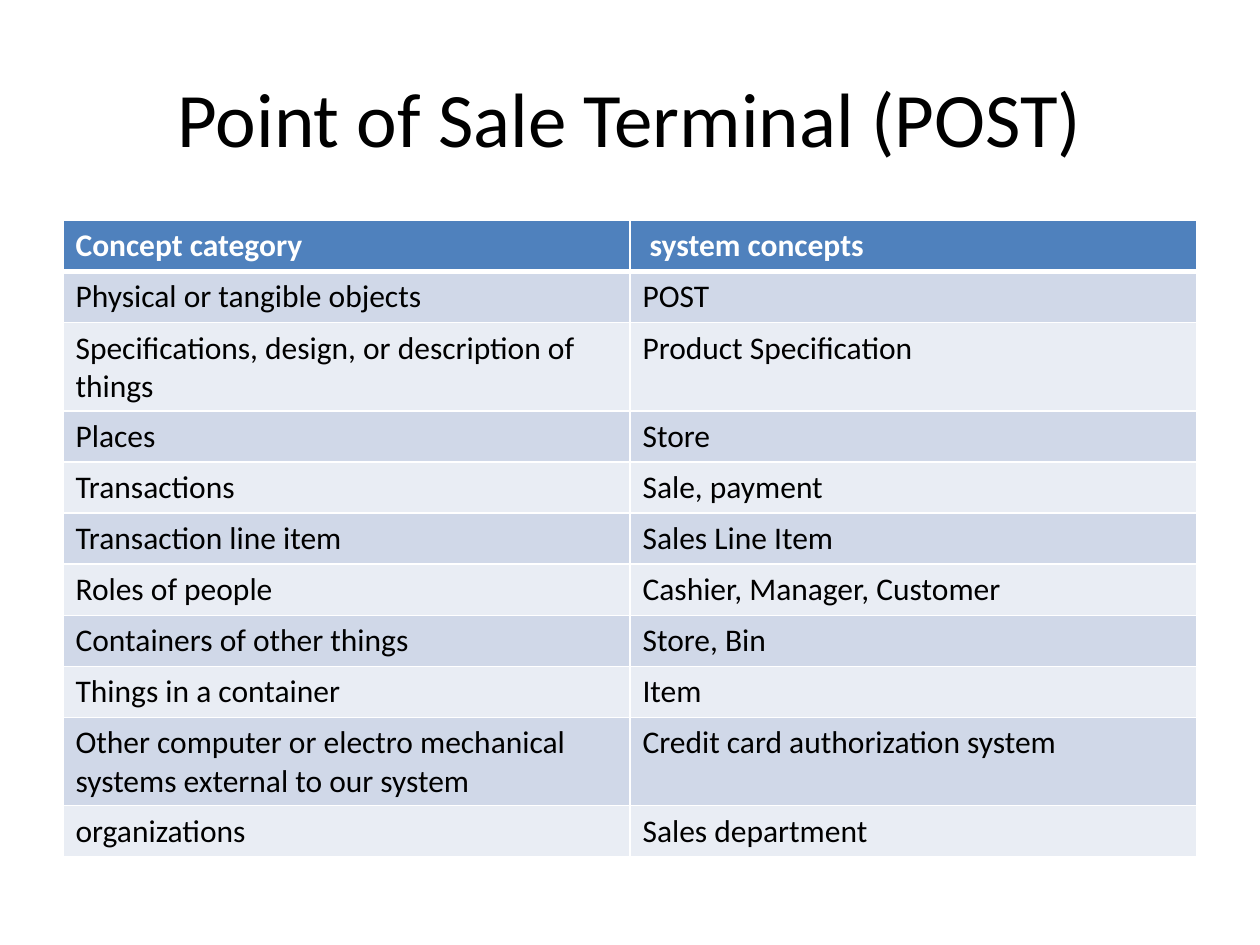
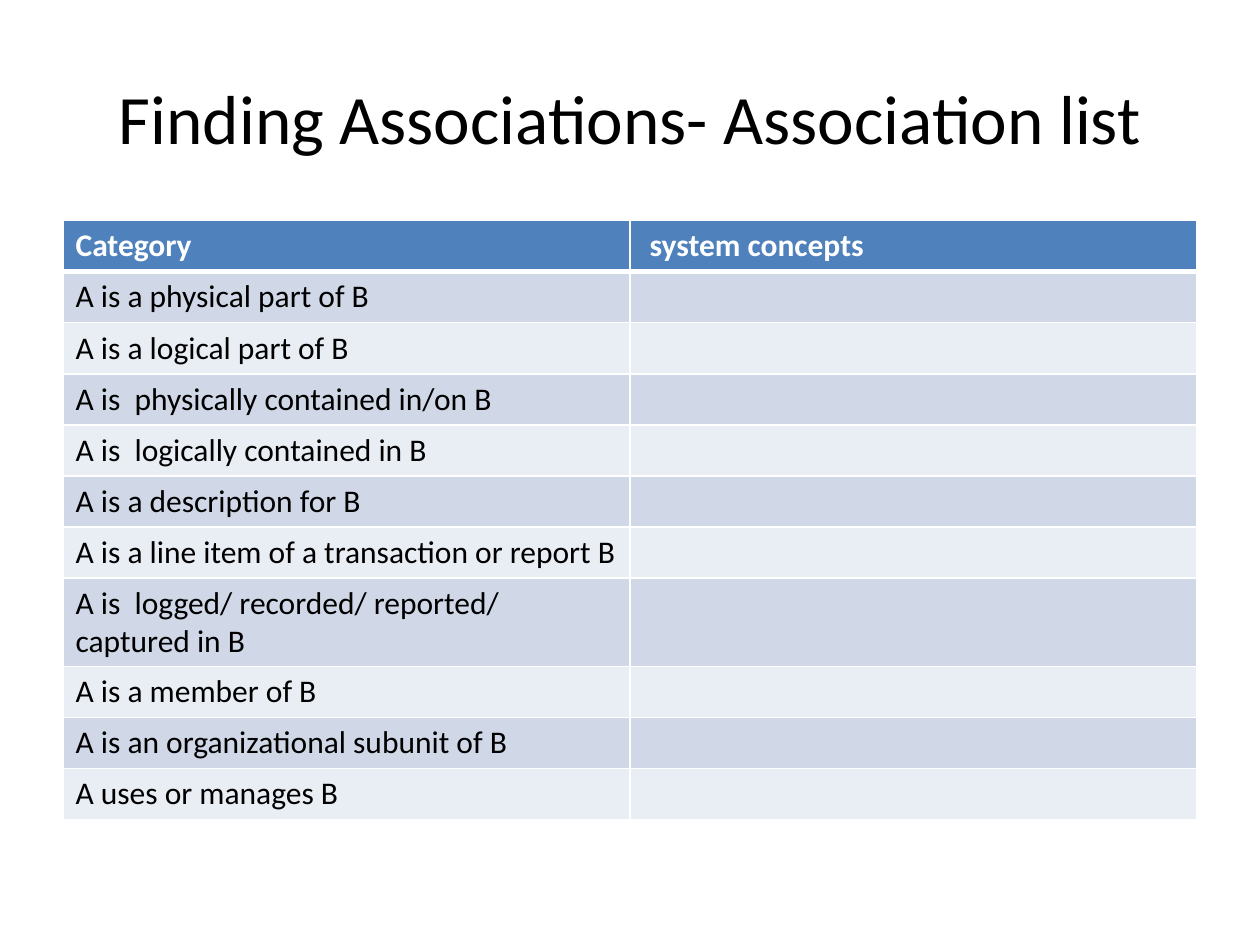
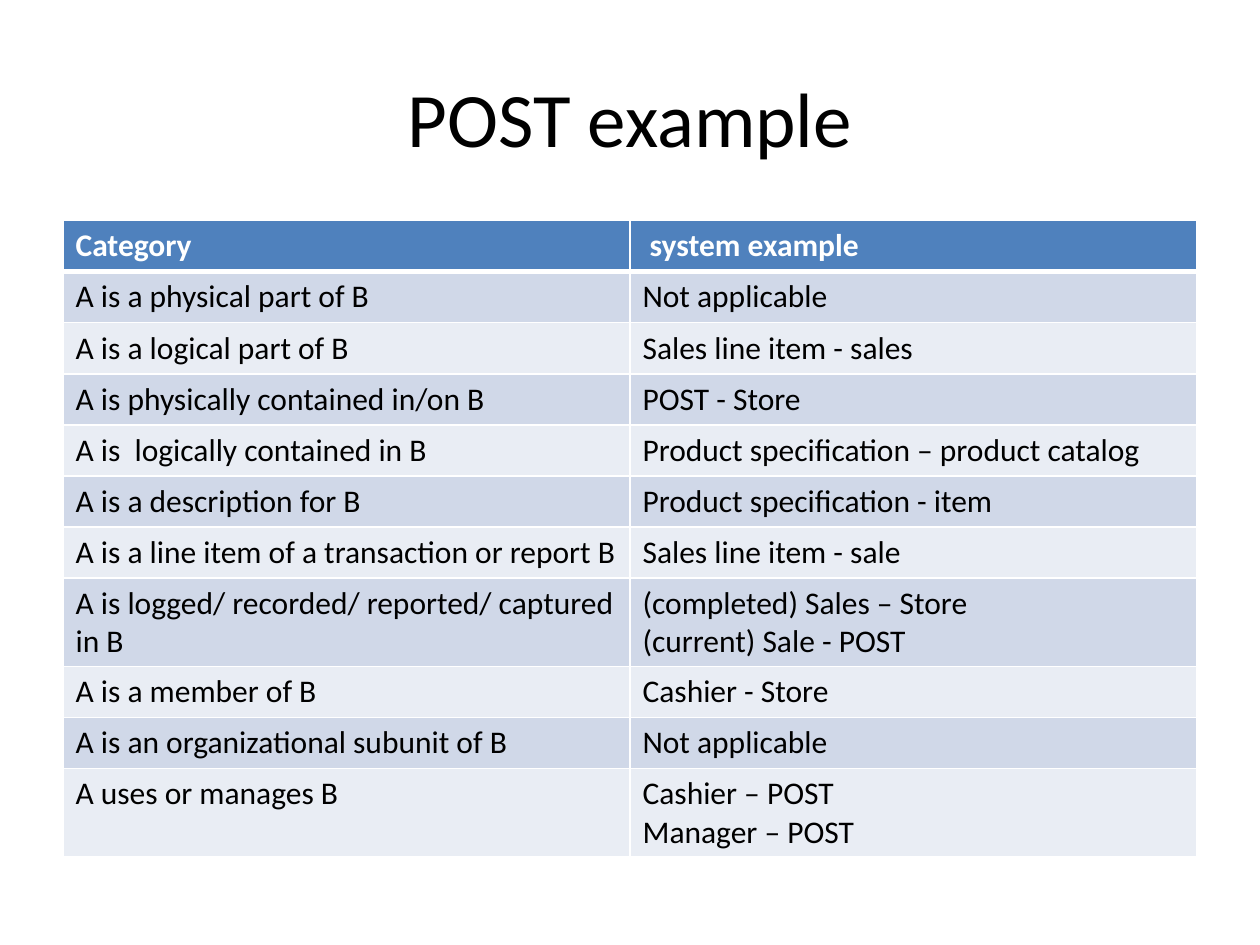
from pptx import Presentation
from pptx import util as u
from pptx.dml.color import RGBColor
from pptx.enum import text
from pptx.oxml import parse_xml
from pptx.oxml.ns import nsdecls

PX = 5080  # EMU per px, 180 px to the inch
FONT = "Calibri"
COLORS = {
    "ink": "000000",
    "white": "FFFFFF",
    "header": "4F81BD",
    "band_dark": "D0D8E8",
    "band_light": "E9EDF4",
}

SALE_CONCEPTS = [
    ("Physical or tangible objects", "POST"),
    ("Specifications, design, or description of things", "Product Specification"),
    ("Places", "Store"),
    ("Transactions", "Sale, payment"),
    ("Transaction line item", "Sales Line Item"),
    ("Roles of people", "Cashier, Manager, Customer"),
    ("Containers of other things", "Store, Bin"),
    ("Things in a container", "Item"),
    ("Other computer or electro mechanical systems external to our system",
     "Credit card authorization system"),
    ("organizations", "Sales department"),
]

ASSOCIATIONS = [
    ("A is a physical part of B", "Not applicable"),
    ("A is a logical part of B", "Sales line item - sales"),
    ("A is physically contained in/on B", "POST - Store"),
    ("A is  logically contained in B", "Product specification – product catalog"),
    ("A is a description for B", "Product specification - item"),
    ("A is a line item of a transaction or report B", "Sales line item - sale"),
    ("A is logged/ recorded/ reported/ captured in B",
     "(completed) Sales – Store\n(current) Sale - POST"),
    ("A is a member of B", "Cashier - Store"),
    ("A is an organizational subunit of B", "Not applicable"),
    ("A uses or manages B", "Cashier – POST\nManager – POST"),
]


def px(length):
    return u.Emu(length * PX)


def color(name):
    return RGBColor.from_string(COLORS[name])


class SlideWriter:
    """Holds the shared style and the current slide."""

    left, width = 90, 1620
    title_top, title_height = 54, 225
    table_top, row_height = 315, 73
    header_indent = 10

    def __init__(self):
        self.deck = Presentation()
        self.deck.slide_width, self.deck.slide_height = px(1800), px(1350)
        self.page = None

    def new_page(self):
        self.page = self.deck.slides.add_slide(self.deck.slide_layouts[6])

    def style(self, para, size, ink, bold=False):
        font = para.font
        font.name, font.size, font.bold = FONT, u.Pt(size), bold
        font.color.rgb = color(ink)

    def title(self, words, size=44):
        box = self.page.shapes.add_textbox(
            px(self.left), px(self.title_top), px(self.width), px(self.title_height))
        frame = box.text_frame
        frame.word_wrap = True
        frame.vertical_anchor = text.MSO_ANCHOR.MIDDLE
        para = frame.paragraphs[0]
        para.text = words
        para.alignment = text.PP_ALIGN.CENTER
        self.style(para, size, "ink")

    def borders(self, cell, top, bottom):
        properties = cell._tc.get_or_add_tcPr()
        for side, points in (("L", 1), ("R", 1), ("T", top), ("B", bottom)):
            properties.append(parse_xml(
                f'<a:ln{side} {nsdecls("a")} w="{u.Pt(points)}"><a:solidFill>'
                f'<a:srgbClr val="{COLORS["white"]}"/></a:solidFill></a:ln{side}>'))

    def cell(self, cell, words, row):
        header = row == 0
        self.borders(cell, top=3 if row == 1 else 1, bottom=3 if header else 1)
        cell.fill.solid()
        band = "band_dark" if row % 2 else "band_light"
        cell.fill.fore_color.rgb = color("header" if header else band)
        cell.text_frame.text = words
        for para in cell.text_frame.paragraphs:
            self.style(para, 18, "white" if header else "ink", header)

    def table(self, headings, body):
        rows = [headings, *body]
        table = self.page.shapes.add_table(
            len(rows), len(headings), px(self.left), px(self.table_top),
            px(self.width), px(self.row_height * len(rows))).table
        table.horz_banding = False
        for r, row in enumerate(rows):
            for c, words in enumerate(row):
                self.cell(table.cell(r, c), words, r)
        # The second heading sits slightly to the right of its column
        heading = table.cell(0, 1)
        heading.margin_left += px(self.header_indent)


def main():
    writer = SlideWriter()

    # Concepts of the sale terminal
    writer.new_page()
    writer.title("Point of Sale Terminal (POST)")
    writer.table(("Concept category", "system concepts"), SALE_CONCEPTS)

    # Association categories, still to be filled in
    blank_list = [
        (category.replace("is physically", "is  physically")
         .replace("is logged", "is  logged"), "")
        for category, _ in ASSOCIATIONS
    ]
    writer.new_page()
    writer.title("Finding Associations- Association list", 39.6)
    writer.table(("Category", "system concepts"), blank_list)

    # Associations with examples
    writer.new_page()
    writer.title("POST example")
    writer.table(("Category", "system example"), ASSOCIATIONS)

    writer.deck.save("out.pptx")


if __name__ == "__main__":
    main()
